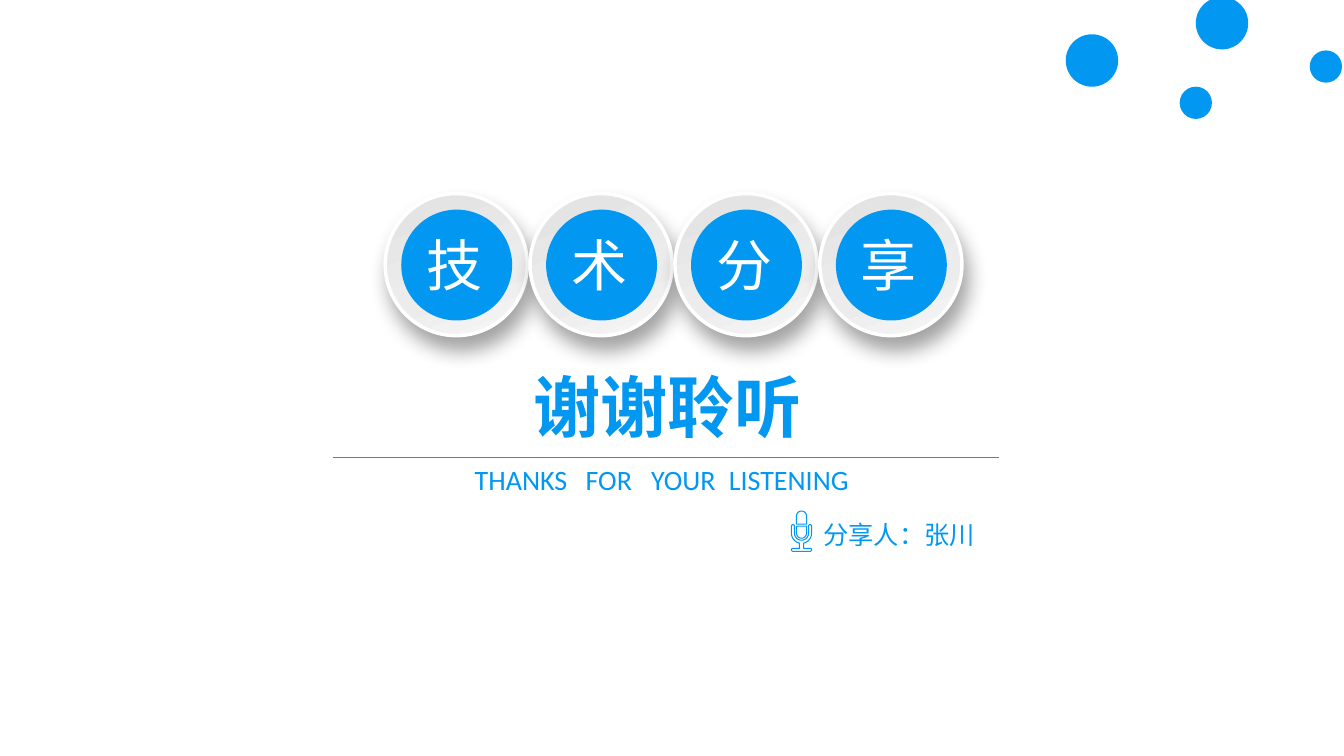
import math

import pptx
import pptx.dml.color
import pptx.enum.shapes
import pptx.oxml
import pptx.oxml.ns
import pptx.util

Inches = pptx.util.Inches
Pt = pptx.util.Pt
MSO_SHAPE = pptx.enum.shapes.MSO_SHAPE

COLORS = {
    "blue": "0297F0",
    "white": "FFFFFF",
    "rule": "4B7EBC",
    "ring_dark": "E2E2E2",
    "ring_mid": "ECECEC",
    "ring_light": "F7F7F7",
    "shadow": "1A1A1A",
}
CHINESE = "Noto Sans CJK SC"
LATIN = "Calibri"


def rgb(name):
    """Return the named colour."""
    return pptx.dml.color.RGBColor.from_string(COLORS[name])


def xml(tag, attributes="", content=""):
    """Return an element of the drawing namespace."""
    return pptx.oxml.parse_xml(
        f"<a:{tag} {pptx.oxml.ns.nsdecls('a')} {attributes}>{content}</a:{tag}>")


def add_text(shapes, box, text, size, font, color, bold=False):
    """Place one line of text in a box and return its paragraph."""
    label = shapes.add_textbox(*map(Inches, box))
    label.text_frame.word_wrap = True
    line = label.text_frame.paragraphs[0]
    line.text = text
    run = line.runs[0]
    run.font.size = Pt(size)
    run.font.name = font
    run.font.bold = bold
    run.font.color.rgb = rgb(color)
    run.font._element.append(xml("ea", f'typeface="{font}"'))
    return line


def add_disc(shapes, left, top, size, kind=MSO_SHAPE.OVAL):
    """Place a plain blue round shape."""
    disc = shapes.add_shape(kind, *map(Inches, (left, top, size, size)))
    disc.shadow.inherit = False
    disc.fill.solid()
    disc.fill.fore_color.rgb = rgb("blue")
    disc.line.fill.background()
    return disc


def style_ring(ring):
    """Give a badge its grey gradient, white rim and soft shadow."""
    stops = "".join(
        f'<a:gs pos="{position * 1000}"><a:srgbClr val="{COLORS[name]}"/></a:gs>'
        for position, name in ((0, "ring_dark"), (63, "ring_mid"), (100, "ring_light")))
    properties = ring._element.spPr
    properties.remove(properties.find(pptx.oxml.ns.qn("a:solidFill")))
    properties.insert(2, xml(
        "gradFill", 'rotWithShape="1"',
        f'<a:gsLst>{stops}</a:gsLst><a:lin ang="{70 * 60000}" scaled="0"/>'))
    ring.line.color.rgb = rgb("white")
    ring.line.width = Pt(2.5)
    properties.find(pptx.oxml.ns.qn("a:effectLst")).append(xml(
        "outerShdw",
        f'blurRad="{Pt(14)}" dist="{Pt(10)}" dir="{70 * 60000}" algn="tl" rotWithShape="0"',
        f'<a:srgbClr val="{COLORS["shadow"]}"><a:alpha val="40000"/></a:srgbClr>'))


def add_badges(slide, left, top, characters):
    """Place a row of round badges with one character each."""
    for index, character in enumerate(characters):
        x = left + index * 1.437
        badge = slide.shapes.add_group_shape().shapes
        style_ring(add_disc(badge, x, top, 1.41))
        add_disc(badge, x + 0.16, top + 0.16, 1.1)
        add_text(badge, (x + 0.31, top + 0.32, 0.73, 0.77), character, 40, CHINESE, "white")


def add_closing(slide, left, top, width):
    """Place the thanks in two languages around a thin rule."""
    add_text(slide.shapes, (left + 1.89, top, 2.95, 0.91), "谢谢聆听", 48, CHINESE, "blue", True)
    rule_y = Inches(top + 0.97)
    rule = slide.shapes.add_connector(
        pptx.enum.shapes.MSO_CONNECTOR.STRAIGHT,
        Inches(left), rule_y, Inches(left + width), rule_y)
    rule.line.color.rgb = rgb("rule")
    rule.line.width = Pt(0.75)
    rule._element.spPr.append(xml("effectLst"))
    thanks = add_text(slide.shapes, (left + 1.31, top + 0.97, 4.56, 0.44),
                      "THANKS\tFOR\tYOUR\tLISTENING", 20, LATIN, "blue")
    tabs = "".join(f'<a:tab pos="{Inches(stop)}" algn="l"/>' for stop in (1.1, 1.75, 2.52))
    thanks._p.get_or_add_pPr().append(xml("tabLst", "", tabs))


def arc(x, y, radius, start, end, steps=12):
    """Return points along an arc, with angles in degrees clockwise."""
    angles = [math.radians(start + (end - start) * step / steps) for step in range(steps + 1)]
    return [(x + radius * math.cos(a), y + radius * math.sin(a)) for a in angles]


def add_microphone(slide, left, top):
    """Place an outlined microphone."""
    cup = [(0.05, 0.15), (0.15, 0.15)] + arc(0.1, 0.22, 0.05, 0, 180)
    stand = (arc(0.015, 0.15, 0.015, 180, 360) + arc(0.1, 0.22, 0.07, 180, 0)
             + arc(0.185, 0.15, 0.015, 180, 360) + arc(0.1, 0.22, 0.1, 0, 78)
             + [(0.12, 0.37)] + arc(0.185, 0.385, 0.015, -90, 90)
             + arc(0.015, 0.385, 0.015, 90, 270) + [(0.08, 0.37)]
             + arc(0.1, 0.22, 0.1, 102, 180))
    head = arc(0.1, 0.05, 0.05, 180, 360) + [(0.15, 0.13), (0.05, 0.13)]
    outlines = [[(Inches(left + x), Inches(top + y)) for x, y in part]
                for part in (cup, stand, head)]
    builder = slide.shapes.build_freeform(*outlines[0][0])
    for index, outline in enumerate(outlines):
        if index:
            builder.move_to(*outline[0])
        builder.add_line_segments(outline[1:], close=True)
    microphone = builder.convert_to_shape()
    microphone.shadow.inherit = False
    microphone.fill.solid()
    microphone.fill.fore_color.rgb = rgb("white")
    microphone.line.color.rgb = rgb("blue")
    microphone.line.width = Pt(0.75)


def add_speaker(slide, left, top):
    """Place the speaker's name beside the microphone."""
    add_text(slide.shapes, (left + 0.22, top + 0.03, 2.04, 0.4), "分享人：张川", 18, CHINESE, "blue")
    add_microphone(slide, left, top)


def add_corner_dots(slide, left, top):
    """Scatter blue rimmed dots from the corner of a box."""
    for x, y, size in ((0, 0.37, 0.52), (1.13, 0.89, 0.32), (1.29, 0, 0.52), (2.42, 0.53, 0.32)):
        dot = slide.shapes.add_group_shape().shapes
        rim = add_disc(dot, left + x, top + y, size, MSO_SHAPE.DONUT)
        rim.adjustments[0] = 0.049
        add_disc(dot, left + x + 0.01, top + y + 0.01, size - 0.02)


def main():
    """Build the closing slide."""
    deck = pptx.Presentation()
    deck.slide_width, deck.slide_height = Inches(13.33), Inches(7.5)
    slide = deck.slides.add_slide(deck.slide_layouts[6])
    add_badges(slide, 3.82, 1.92, "技术分享")
    add_closing(slide, 3.3, 3.57, 6.61)
    add_speaker(slide, 7.85, 5.07)
    add_corner_dots(slide, 10.57, -0.03)
    deck.save("out.pptx")


if __name__ == "__main__":
    main()
